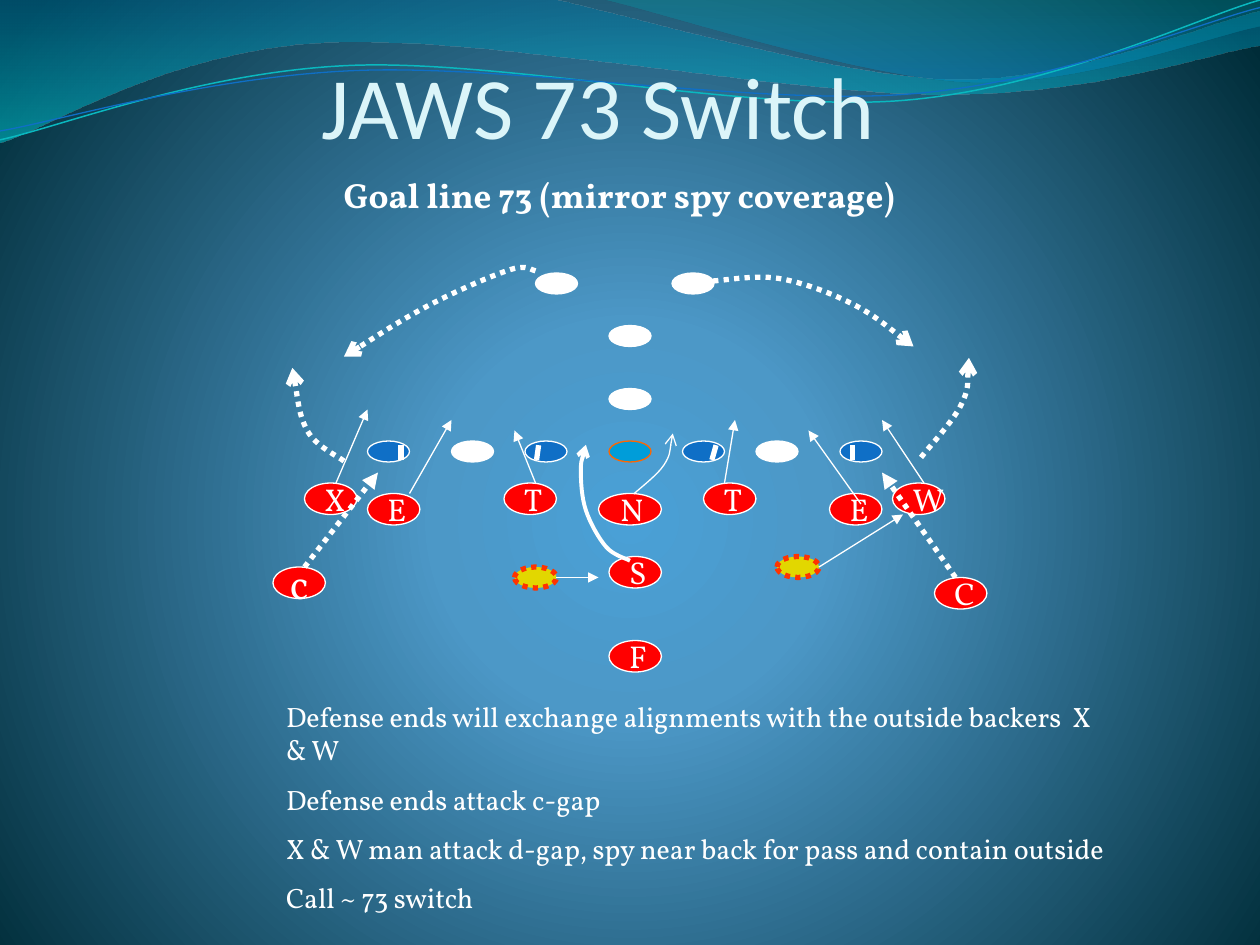
from dataclasses import dataclass
from typing import NamedTuple, Optional

from lxml.etree import SubElement
from pptx import Presentation
from pptx.dml.color import RGBColor
from pptx.enum.dml import MSO_LINE
from pptx.enum.shapes import MSO_CONNECTOR, MSO_SHAPE
from pptx.enum.text import MSO_ANCHOR, MSO_AUTO_SIZE, PP_ALIGN
from pptx.oxml import parse_xml
from pptx.oxml.ns import nsdecls, qn
from pptx.util import Inches, Pt


@dataclass(frozen=True)
class Theme:
    white: str = "FFFFFF"
    title: str = "DBF5F9"
    blue: str = "0F6FC6"
    center: str = "009DD9"
    center_edge: str = "FF6600"
    defense: str = "FF0000"
    spy: str = "E2D700"
    spy_edge: str = "FF3300"
    wave_line: str = "0AB8BF"
    title_font: str = "Calibri"
    body_font: str = "Vollkorn"
    title_size: int = 50
    call_size: int = 20
    note_size: int = 16
    letter_size: int = 18
    corner_size: int = 24
    thin: float = 0.75
    medium: float = 2.25
    thick: float = 3


THEME = Theme()
GRID = Inches(1) // 12  # the field is laid out in twelfths of an inch
UNITS = 1000  # curve resolution per inch


class Stop(NamedTuple):
    position: int
    color: str
    alpha: int = 100


class Player(NamedTuple):
    col: int
    row: int
    fill: str
    letter: str = ""
    cols: int = 4
    rows: int = 2
    edge: str = THEME.white
    dotted: bool = False


class Stroke(NamedTuple):
    color: str
    width: float
    head: Optional[str] = None
    dotted: bool = False


RUSH = Stroke(THEME.white, THEME.thin, "triangle")
BLITZ = Stroke(THEME.white, THEME.thick, "triangle", True)
COVER = Stroke(THEME.white, THEME.thick, "arrow", True)
MARK = Stroke(THEME.white, THEME.thick)

# Players by row of the field
OFFENSE = [Player(col, row, fill) for row, fill, cols in (
    (26, THEME.white, (51, 64)), (31, THEME.white, (58,)), (37, THEME.white, (58,)),
    (42, THEME.white, (43, 72)), (42, THEME.blue, (35, 50, 65, 80))) for col in cols]
OFFENSE.append(Player(58, 42, THEME.center, edge=THEME.center_edge))
DEFENSE = [Player(col, row, THEME.defense, letter, 6 if letter == "N" else 5, 3)
           for row, letters, cols in (
               (46, "XTTW", (29, 48, 67, 85)), (47, "ENE", (35, 57, 79)),
               (53, "S", (58,)), (54, "c", (26,)), (55, "C", (89,)), (61, "F", (58,)))
           for letter, col in zip(letters, cols)]
SPIES = [Player(col, row, THEME.spy, edge=THEME.spy_edge, dotted=True)
         for col, row in ((49, 54), (74, 53))]

# Straight paths: start column and row, end column and row
RUSHES = [(53, 55, 57, 55), (78, 54, 86, 49), (32, 46, 35, 39), (39, 47, 43, 40),
          (51, 46, 49, 41), (69, 46, 70, 40), (82, 48, 77, 41), (88, 46, 84, 40)]
BLITZES = [(29, 54, 36, 45), (91, 55, 84, 45)]
GAP_MARKS = [(col, 43.8, col + lean, 42.4)
             for col, lean in ((38.2, 0), (51.1, 0.2), (67.8, 0.4), (81.2, 0))]

# Smooth paths, as the points they pass through in inches
PLAY_CURVES = [
    (Stroke(THEME.white, THEME.medium, "arrow"),
     [(5, 4.45), (4.81, 4.34), (4.65, 4.05), (4.61, 3.74), (4.65, 3.53)]),
    (COVER, [(5.66, 2.23), (6.18, 2.21), (6.76, 2.41), (7.25, 2.75)]),
    (COVER, [(7.31, 3.63), (7.63, 3.21), (7.69, 2.84)]),
    (COVER, [(4.25, 2.15), (4.05, 2.14), (3.41, 2.42), (2.73, 2.83)]),
    (COVER, [(2.73, 3.66), (2.44, 3.42), (2.32, 2.92)]),
    (Stroke(THEME.white, THEME.thin, "arrow"),
     [(5.03, 3.92), (5.27, 3.69), (5.34, 3.44)]),
]
# Each band has an upper and a lower edge
WAVE_BANDS = [
    ([Stop(0, "0074A1", 45), Stop(100, "00C6CF", 55)],
     [[(4.4, 0), (7.58, 0.63), (10, 0.09)],
      [(10, 0.36), (7.46, 0.75), (2.57, 0.34), (0, 1.13)], [(0, 0)]]),
    ([Stop(0, "00A1A9", 30), Stop(80, "008BBF", 45)],
     [[(4.79, 0), (7.69, 0.65), (10, 0.21)], [(10, 0)]]),
]
WAVE_LINES = [
    (Stroke(THEME.wave_line, 0.85), [(0, 1.11), (2.77, 0.52), (7.13, 0.8), (10, 0)]),
    (Stroke(THEME.blue, THEME.thin), [(0, 1.04), (2.83, 0.56), (7.17, 0.75), (10, 0.06)]),
]
NOTES = ["Defense ends will exchange alignments with the outside backers  X & W",
         "Defense ends attack c-gap",
         "X & W man attack d-gap, spy near back for pass and contain outside",
         "Call ~ 73 switch"]


def gradient(stops: list, direction: str):
    marks = "".join(
        f'<a:gs pos="{s.position * 1000}"><a:srgbClr val="{s.color}">'
        f'<a:alpha val="{s.alpha * 1000}"/></a:srgbClr></a:gs>' for s in stops)
    return parse_xml(f'<a:gradFill {nsdecls("a")} rotWithShape="1">'
                     f'<a:gsLst>{marks}</a:gsLst>{direction}</a:gradFill>')


def apply_stroke(shape, stroke: Stroke) -> None:
    shape.line.color.rgb = RGBColor.from_string(stroke.color)
    shape.line.width = Pt(stroke.width)
    if stroke.dotted:
        shape.line.dash_style = MSO_LINE.ROUND_DOT
    if stroke.head:
        SubElement(shape._element.spPr.find(qn("a:ln")), qn("a:tailEnd"), type=stroke.head)


def smooth(knots: list) -> list:
    """Catmull-Rom spline: two controls and an end for each span."""
    padded = [knots[0], *knots, knots[-1]]
    return [(tuple(b + (c - a) / 6 for a, b, c in zip(before, start, end)),
             tuple(c - (d - b) / 6 for b, c, d in zip(start, end, after)), end)
            for before, start, end, after in zip(padded, padded[1:], padded[2:], padded[3:])]


def draw_curve(slide, edges: list, closed: bool = False):
    segments = smooth(edges[0])
    for edge in edges[1:]:
        segments += [(edge[0],), *smooth(edge)]
    points = [(x * UNITS, y * UNITS) for segment in segments for x, y in segment]
    start_x, start_y = edges[0][0]
    builder = slide.shapes.build_freeform(start_x * UNITS, start_y * UNITS, Inches(1) / UNITS)
    shape = builder.add_line_segments(points, close=closed).convert_to_shape()
    # Turn each run of three points into one Bezier segment
    steps = iter(list(shape._element.iter(qn("a:lnTo"))))
    for segment in segments:
        first = next(steps)
        if len(segment) > 1:
            first.tag = qn("a:cubicBezTo")
            for _ in segment[1:]:
                step = next(steps)
                first.append(step[0])
                step.getparent().remove(step)
    shape.shadow.inherit = False
    shape.fill.background()
    return shape


def draw_band(slide, stops: list, edges: list) -> None:
    band = draw_curve(slide, edges, closed=True)
    band.line.fill.background()
    properties = band._element.spPr
    properties.replace(properties.find(qn("a:noFill")),
                       gradient(stops, '<a:lin ang="5400000" scaled="0"/>'))


def draw_straight(slide, ends: tuple, stroke: Stroke) -> None:
    line = slide.shapes.add_connector(MSO_CONNECTOR.STRAIGHT, *(round(e * GRID) for e in ends))
    apply_stroke(line, stroke)
    SubElement(line._element.spPr, qn("a:effectLst"))


def add_text(paragraph, text: str, size: int, color: str, font: str, bold: bool = False) -> None:
    run = paragraph.add_run()
    run.text = text
    run.font.size, run.font.name, run.font.bold = Pt(size), font, bold
    run.font.color.rgb = RGBColor.from_string(color)


def draw_player(slide, player: Player) -> None:
    oval = slide.shapes.add_shape(MSO_SHAPE.OVAL, *(
        n * GRID for n in (player.col, player.row, player.cols, player.rows)))
    oval.shadow.inherit = False
    oval.fill.solid()
    oval.fill.fore_color.rgb = RGBColor.from_string(player.fill)
    width = THEME.thick if player.dotted else THEME.thin
    apply_stroke(oval, Stroke(player.edge, width, dotted=player.dotted))
    if player.letter:
        corner = player.letter == "c"
        frame = oval.text_frame
        frame.word_wrap, frame.vertical_anchor = False, MSO_ANCHOR.MIDDLE
        paragraph = frame.paragraphs[0]
        paragraph.alignment = PP_ALIGN.CENTER if corner else PP_ALIGN.LEFT
        add_text(paragraph, player.letter, THEME.corner_size if corner else THEME.letter_size,
                 THEME.white, THEME.body_font)


def place(shape, *box: float) -> None:
    shape.left, shape.top, shape.width, shape.height = map(Inches, box)


def write_texts(slide) -> None:
    # Title, brought in front of the waves
    title = slide.shapes.title
    slide.shapes._spTree.append(title._element)
    place(title, 0.5, 0, 8.5, 1.25)
    frame = title.text_frame
    frame.auto_size, frame.vertical_anchor = MSO_AUTO_SIZE.NONE, MSO_ANCHOR.BOTTOM
    frame.margin_left = frame.margin_right = frame.margin_bottom = 0
    frame.paragraphs[0].alignment = PP_ALIGN.CENTER
    add_text(frame.paragraphs[0], "JAWS 73 Switch", THEME.title_size,
             THEME.title, THEME.title_font)
    # Name of the call
    call = slide.shapes.add_textbox(*map(Inches, (2.33, 1.33, 5.17, 0.43))).text_frame
    call.word_wrap = True
    call.paragraphs[0].alignment = PP_ALIGN.CENTER
    add_text(call.paragraphs[0], "Goal line 73 (mirror spy coverage)", THEME.call_size,
             THEME.white, THEME.body_font, bold=True)
    # Coaching notes
    notes = slide.placeholders[1]
    place(notes, 2.17, 5.5, 6.75, 1.57)
    frame = notes.text_frame
    frame.auto_size = MSO_AUTO_SIZE.NONE
    for index, note in enumerate(NOTES):
        paragraph = frame.add_paragraph() if index else frame.paragraphs[0]
        paragraph.space_before = Pt(9)
        add_text(paragraph, note, THEME.note_size, THEME.white, THEME.body_font)
        properties = paragraph._p.get_or_add_pPr()
        properties.set("marL", "0")
        properties.set("indent", "0")
        SubElement(properties, qn("a:buNone"))


def main() -> None:
    deck = Presentation()
    deck.slide_width, deck.slide_height = Inches(10), Inches(7.5)
    slide = deck.slides.add_slide(deck.slide_layouts[1])
    # Background glow and waves
    slide.background.fill.solid()
    backdrop = slide._element.find(".//" + qn("p:bgPr"))
    backdrop.replace(backdrop.find(qn("a:solidFill")), gradient(
        [Stop(0, "4AA0D6"), Stop(25, "4C98C7"), Stop(100, "002C38")],
        '<a:path path="circle"><a:fillToRect l="10000" t="110000" r="10000" b="100000"/></a:path>'))
    for stops, edges in WAVE_BANDS:
        draw_band(slide, stops, edges)
    # Players, then their paths
    for stroke, knots in WAVE_LINES:
        apply_stroke(draw_curve(slide, [knots]), stroke)
    for player in OFFENSE + DEFENSE + SPIES:
        draw_player(slide, player)
    for stroke, paths in ((RUSH, RUSHES), (BLITZ, BLITZES), (MARK, GAP_MARKS)):
        for ends in paths:
            draw_straight(slide, ends, stroke)
    for stroke, knots in PLAY_CURVES:
        apply_stroke(draw_curve(slide, [knots]), stroke)
    write_texts(slide)
    deck.save("out.pptx")


if __name__ == "__main__":
    main()
